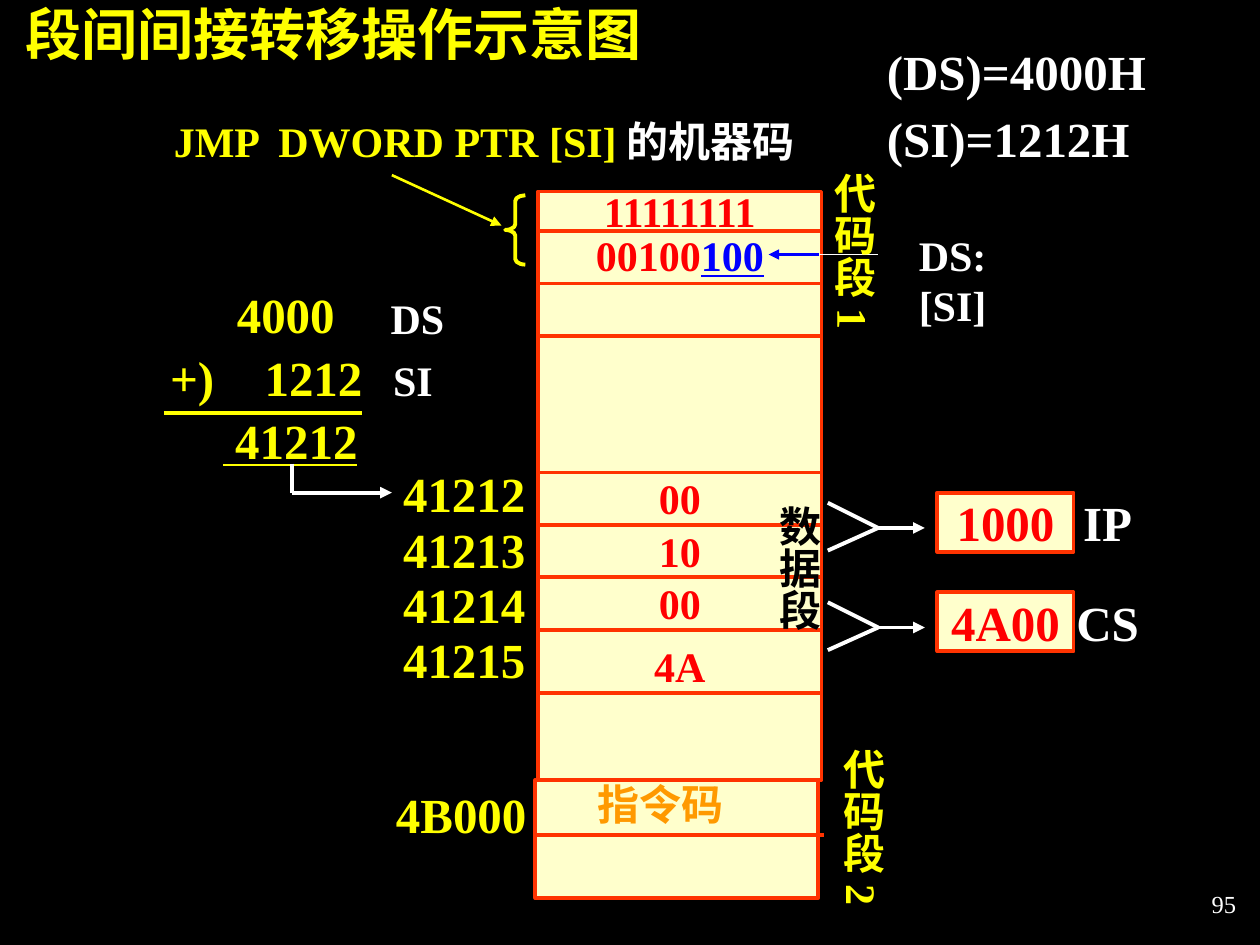
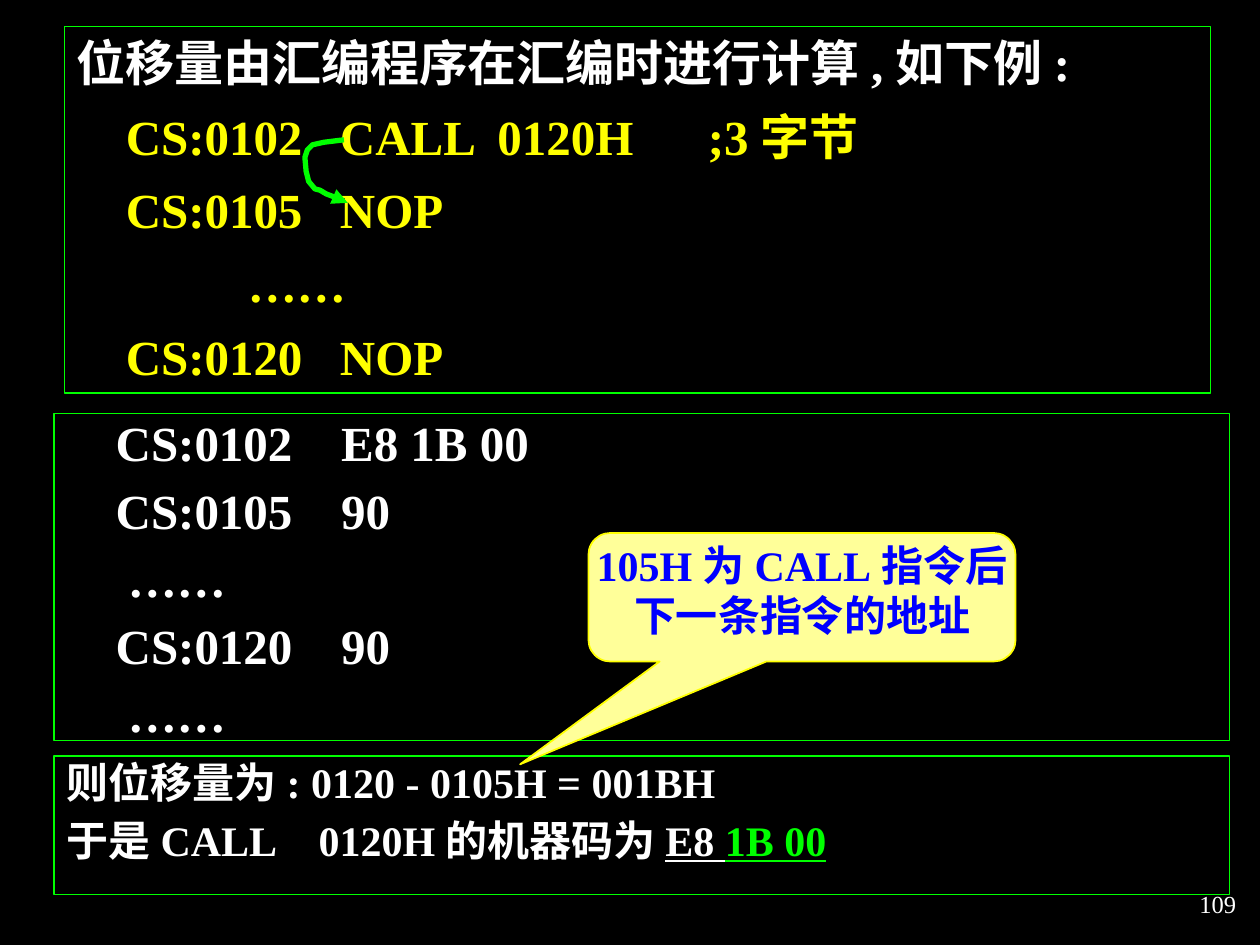
from lxml.etree import SubElement
from pptx import Presentation
from pptx.dml.color import RGBColor
from pptx.enum.shapes import MSO_CONNECTOR, MSO_SHAPE
from pptx.enum.text import MSO_ANCHOR, PP_ALIGN
from pptx.oxml.ns import qn
from pptx.util import Inches, Pt

FONT = "Times New Roman"
COLORS = {
    "black": "000000", "white": "FFFFFF", "yellow": "FFFF00", "cream": "FFFFCC",
    "orange": "FF3300", "amber": "FF9900", "red": "FF0000", "blue": "0000FF",
    "green": "00FF00", "note": "FFFF99",
}
LEFT, CENTER, RIGHT = PP_ALIGN.LEFT, PP_ALIGN.CENTER, PP_ALIGN.RIGHT
PADDED = (0.1, 0.05, 0.1, 0.05)
SIDEWAYS = (0.05, 0.1, 0.05, 0.1)


def rgb(name):
    """Return the named colour."""
    return RGBColor.from_string(COLORS[name])


def set_tabs(paragraph, stops):
    """Give a paragraph left tab stops, in inches."""
    tab_list = SubElement(paragraph._p.get_or_add_pPr(), qn("a:tabLst"))
    for stop in stops:
        SubElement(tab_list, qn("a:tab"), pos=str(Inches(stop)), algn="l")


def write(shape, paragraphs, size, color, align=LEFT, margins=(0, 0, 0, 0), spacing=None,
          before=0, tabs=(), bold=True, anchor=MSO_ANCHOR.TOP):
    """Fill a shape with paragraphs, each a string or a list of (text, formats) runs."""
    frame = shape.text_frame
    sides = ("margin_left", "margin_top", "margin_right", "margin_bottom")
    formats = dict(zip(sides, map(Inches, margins)), word_wrap=True, vertical_anchor=anchor)
    for name, value in formats.items():
        setattr(frame, name, value)
    for index, content in enumerate(paragraphs):
        paragraph = frame.add_paragraph() if index else frame.paragraphs[0]
        if tabs:
            set_tabs(paragraph, tabs)
        paragraph.alignment = align
        if spacing:
            paragraph.line_spacing = spacing
        if index and before:
            paragraph.space_before = Pt(before)
        runs = [(content, {})] if isinstance(content, str) else content
        for text, changes in runs:
            run = paragraph.add_run()
            run.text = text
            run.font.color.rgb = rgb(changes.get("color", color))
            font = {"name": FONT, "size": Pt(size), "bold": bold,
                    "underline": changes.get("underline")}
            for name, value in font.items():
                setattr(run.font, name, value)


def add_text(slide, left, top, width, height, paragraphs, size, color, **formats):
    """Add a text box."""
    box = slide.shapes.add_textbox(*map(Inches, (left, top, width, height)))
    write(box, paragraphs, size, color, **formats)
    return box


def style_shape(shape, fill, line, weight):
    """Set fill and outline, and remove the shadow."""
    shape.shadow.inherit = False
    if fill:
        shape.fill.solid()
        shape.fill.fore_color.rgb = rgb(fill)
    else:
        shape.fill.background()
    shape.line.color.rgb = rgb(line)
    shape.line.width = Pt(weight)


def add_box(slide, left, top, width, height, fill="cream", line="orange", weight=2.25,
            kind=MSO_SHAPE.RECTANGLE):
    """Add a styled preset shape."""
    shape = slide.shapes.add_shape(kind, *map(Inches, (left, top, width, height)))
    style_shape(shape, fill, line, weight)
    return shape


def add_arrowhead(shape):
    """Put a triangle at the end of a line."""
    SubElement(shape.line._get_or_add_ln(), qn("a:tailEnd"), type="triangle")


def add_line(slide, start, end, color, weight=2.25, arrow=False):
    """Add a straight line between two points."""
    connector = slide.shapes.add_connector(MSO_CONNECTOR.STRAIGHT, *map(Inches, start + end))
    connector.line.color.rgb = rgb(color)
    connector.line.width = Pt(weight)
    if arrow:
        add_arrowhead(connector)
    SubElement(connector.element.spPr, qn("a:effectLst"))


def add_page(presentation, number):
    """Add a blank slide with its page number."""
    slide = presentation.slides.add_slide(presentation.slide_layouts[6])
    add_text(slide, 7.83, 6.92, 2.08, 0.5, [number], 14, "white", align=RIGHT,
             margins=PADDED, bold=False, anchor=MSO_ANCHOR.MIDDLE)
    return slide


def add_memory(slide, left, top, width, height):
    """Draw the memory column with its cells and the target segment below."""
    add_box(slide, left, top, width, height)
    for offset in (0.31, 0.73, 1.15, 2.23, 2.65, 3.06, 3.48, 3.98):
        add_line(slide, (left, top + offset), (left + width, top + offset), "orange")
    low_byte = [("00100", {}), ("100", {"color": "blue", "underline": True})]
    cells = (("11111111", -0.05), (low_byte, 0.3), ("00", 2.23), ("10", 2.65),
             ("00", 3.06), ("4A", 3.56))
    for content, offset in cells:
        add_text(slide, left, top + offset, width, 0.4, [content], 24, "red", align=CENTER)
    bottom = top + height
    add_box(slide, left - 0.02, bottom, width - 0.01, 0.94)
    add_line(slide, (left - 0.02, bottom + 0.44), (left + width + 0.02, bottom + 0.44), "orange")
    add_text(slide, left + 0.3, bottom - 0.12, 1.34, 0.56, ["指令码"], 24, "amber",
             align=CENTER, margins=PADDED, spacing=1.15)
    add_text(slide, left - 1.16, top + 2.2, 1.06, 1.68, ["41212", "41213", "41214", "41215"],
             28, "yellow", align=RIGHT, spacing=0.94)
    add_text(slide, left - 1.28, bottom - 0.08, 1.34, 0.64, ["4B000"], 28, "yellow",
             align=CENTER, margins=PADDED, spacing=1.15)


def add_segment_names(slide, left, top):
    """Write the vertical names of the segments."""
    names = (("代码段1", 0.44, 0, "yellow"), ("代码段2", 0.51, 4.57, "yellow"),
             ("数据段", 0, 2.64, "black"))
    for name, across, down, color in names:
        box = add_text(slide, left + across, top + down, 0.66, 1.54, [name], 24, color,
                       align=CENTER, margins=SIDEWAYS, spacing=1.15)
        box.element.txBody.bodyPr.set("vert", "eaVert")


def add_instruction(slide, left, top):
    """Write the instruction and point to its machine code."""
    instruction = [("JMP\tDWORD PTR [SI] ".rstrip(), {}), ("的机器码", {"color": "white"})]
    add_text(slide, left, top, 5.04, 0.4, [instruction], 24, "yellow", tabs=(0.83,))
    add_line(slide, (left + 1.73, top + 0.47), (left + 2.6, top + 0.87), "yellow", 1.5, True)
    brace = add_box(slide, left + 2.63, top + 0.63, 0.16, 0.55, None, "yellow",
                    kind=MSO_SHAPE.LEFT_BRACE)
    brace.adjustments[0] = 0.28
    middle = top + 1.1
    add_line(slide, (left + 5.12, middle), (left + 4.72, middle), "blue", 1.5, True)
    add_line(slide, (left + 5.12, middle), (left + 5.59, middle), "white", 1)
    add_text(slide, left + 5.67, top + 0.9, 1.02, 0.8, ["DS:[SI]"], 24, "white", align=CENTER)


def add_address_sum(slide, left, top):
    """Add up the segment base and the offset."""
    terms = (("4000", 0.58, 0), ("1212", 0.8, 0.5), ("+)", 0.05, 0.5))
    for text, across, down in terms:
        add_text(slide, left + across, top + down, 1.17, 0.47, [text], 28, "yellow")
    total = [(" 41212", {"underline": True})]
    add_text(slide, left + 0.47, top + 1, 1.5, 0.47, [total], 28, "yellow")
    for name, across, down in (("DS", 1.8, 0.06), ("SI", 1.82, 0.55)):
        add_text(slide, left + across, top + down, 0.6, 0.4, [name], 24, "white")
    add_line(slide, (left, top + 1.02), (left + 1.57, top + 1.02), "yellow")
    corner = (left + 1.02, top + 1.65)
    add_line(slide, (left + 1.02, top + 1.42), corner, "white")
    add_line(slide, corner, (left + 1.81, top + 1.65), "white", arrow=True)


def add_register(slide, left, top, value, name):
    """Join two memory bytes into one register."""
    tip = (left + 0.4, top + 0.28)
    for offset in (0.08, 0.46):
        add_line(slide, (left, top + offset), tip, "white")
    add_line(slide, tip, (left + 0.77, top + 0.28), "white", arrow=True)
    box = add_box(slide, left + 0.87, top, 1.08, 0.47)
    write(box, [value], 28, "red", align=CENTER)
    add_text(slide, left + 1.93, top, 0.58, 0.47, [name], 28, "white", align=CENTER)


def add_panel(slide, left, top, width, height, paragraphs, size, **formats):
    """Add a green outlined panel of text."""
    panel = add_box(slide, left, top, width, height, None, "green", 0.75)
    write(panel, paragraphs, size, "white", margins=PADDED, before=size * 0.3, **formats)


def add_next_arrow(slide, left, top):
    """Draw the bent arrow from one instruction to the next."""
    points = [(0.31, 0), (0.15, 0.02), (0.06, 0.04), (0.02, 0.08), (0, 0.14), (0.01, 0.25),
              (0.03, 0.33), (0.08, 0.39), (0.12, 0.4), (0.17, 0.43), (0.25, 0.46), (0.34, 0.5)]
    places = [(Inches(left + across), Inches(top + down)) for across, down in points]
    builder = slide.shapes.build_freeform(*places[0])
    builder.add_line_segments(places[1:], close=False)
    curve = builder.convert_to_shape()
    style_shape(curve, None, "green", 3)
    add_arrowhead(curve)


def add_callout(slide, left, top, width, height):
    """Add the note on the return address."""
    callout = add_box(slide, left, top, width, height, "note", "yellow", 1,
                      MSO_SHAPE.ROUNDED_RECTANGULAR_CALLOUT)
    for index, value in enumerate((-0.66, 1.3, 0.17)):
        callout.adjustments[index] = value
    write(callout, ["105H为CALL指令后下一条指令的地址"], 24, "blue", align=CENTER)


def build_jump_slide(presentation):
    """Build the slide on the indirect intersegment jump."""
    slide = add_page(presentation, "95")
    add_text(slide, 0.2, 0, 5.12, 0.53, ["段间间接转移操作示意图"], 32, "yellow")
    add_text(slide, 6.94, 0.33, 2.81, 1.04, ["(DS)=4000H", "(SI)=1212H"], 28, "white",
             margins=PADDED, spacing=0.9, before=8.4)
    add_memory(slide, 4.27, 1.52, 2.25, 4.67)
    add_instruction(slide, 1.38, 0.92)
    add_segment_names(slide, 5.99, 1.27)
    add_address_sum(slide, 1.3, 2.26)
    for index, (value, name) in enumerate((("1000", "IP"), ("4A00", "CS"))):
        add_register(slide, 6.57, 3.91 + index * 0.79, value, name)


def build_offset_slide(presentation):
    """Build the slide on the displacement of a call."""
    slide = add_page(presentation, "109")
    yellow = {"color": "yellow"}
    source = ("\tCS:0102\tCALL\t0120H\t;3字节", "\tCS:0105\tNOP", "\t\u2026\u2026".replace("\u2026", "…"),
              "\tCS:0120\tNOP")
    source = ("\tCS:0102\tCALL\t0120H\t;3字节", "\tCS:0105\tNOP", "\t\t……", "\tCS:0120\tNOP")
    add_panel(slide, 0.51, 0.21, 9.1, 2.91,
              ["位移量由汇编程序在汇编时进行计算,如下例:"] + [[(line, yellow)] for line in source],
              28, tabs=(0.39, 1.36, 2.09, 3.34, 5.01))
    result = [("于是CALL\t0120H的机器码为", {}), ("E8 ", {"underline": True}),
              ("1B 00", {"underline": True, "color": "green"})]
    add_panel(slide, 0.43, 6, 9.33, 1.1, ["则位移量为: 0120 - 0105H = 001BH", result], 24,
              spacing=0.9, tabs=(2,))
    add_panel(slide, 0.43, 3.28, 9.33, 2.6,
              ["\tCS:0102\tE8 1B 00", "\tCS:0105\t90", "\t ……", "\tCS:0120\t90", "\t ……"], 28,
              spacing=0.9, tabs=(0.39, 2.18))
    add_callout(slide, 4.67, 4.23, 3.39, 1.02)
    add_next_arrow(slide, 2.42, 1.11)


def main():
    """Build and save the presentation."""
    presentation = Presentation()
    presentation.slide_width, presentation.slide_height = Inches(10), Inches(7.5)
    background = presentation.slide_master.background.fill
    background.solid()
    background.fore_color.rgb = rgb("black")
    build_jump_slide(presentation)
    build_offset_slide(presentation)
    presentation.save("out.pptx")


if __name__ == "__main__":
    main()
